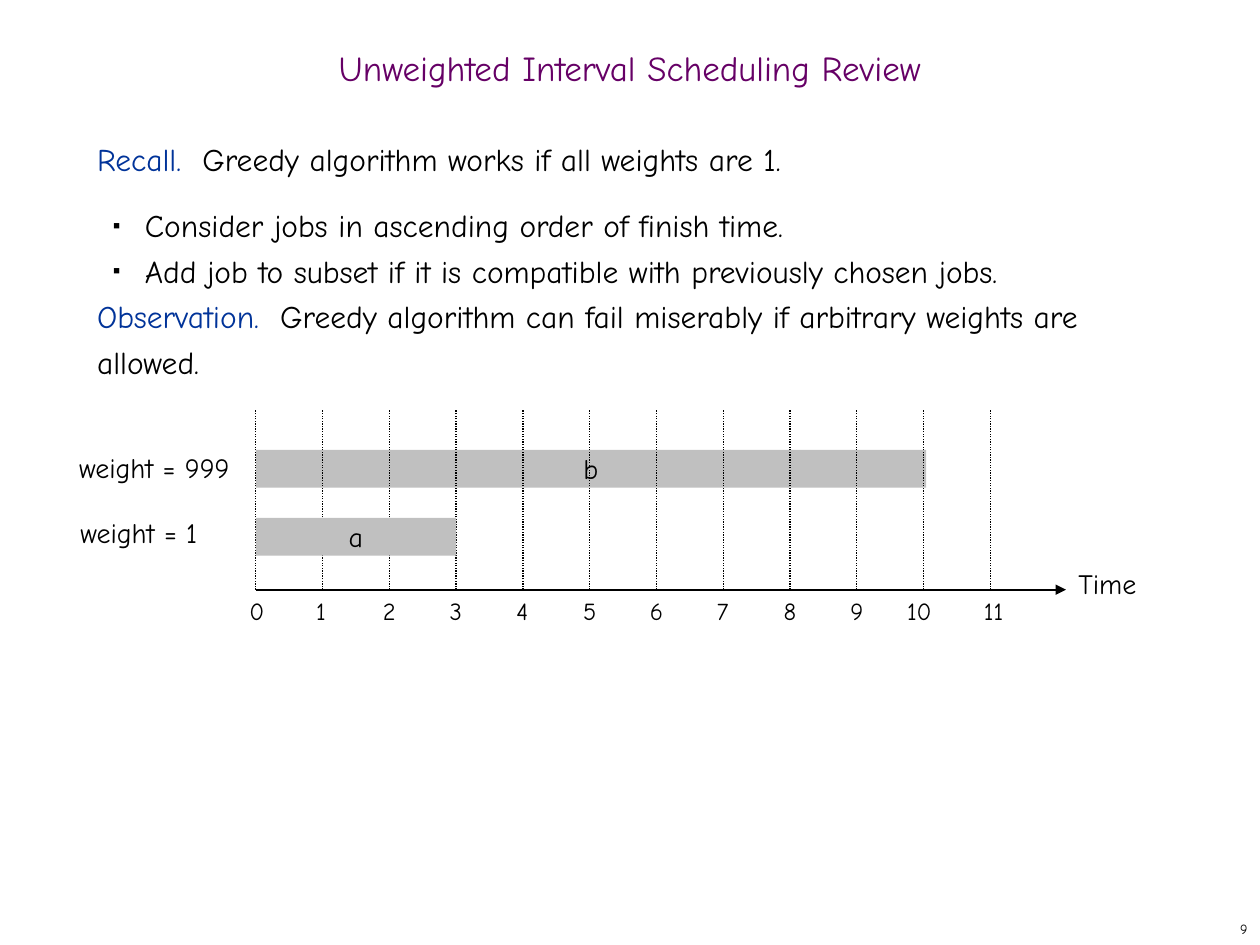
from dataclasses import dataclass

from lxml import etree
from pptx import Presentation
from pptx.dml.color import RGBColor
from pptx.enum.dml import MSO_LINE
from pptx.enum.shapes import MSO_CONNECTOR, MSO_SHAPE
from pptx.enum.text import MSO_ANCHOR, MSO_AUTO_SIZE, PP_ALIGN
from pptx.oxml.ns import qn
from pptx.util import Inches, Pt

STRAIGHT = MSO_CONNECTOR.STRAIGHT
RECTANGLE = MSO_SHAPE.RECTANGLE
DOTTED = MSO_LINE.ROUND_DOT
MIDDLE = MSO_ANCHOR.MIDDLE
FIXED = MSO_AUTO_SIZE.NONE
CENTER, LEFT, RIGHT = PP_ALIGN.CENTER, PP_ALIGN.LEFT, PP_ALIGN.RIGHT


@dataclass(frozen=True)
class Theme:
    font: str = "Comic Neue"
    ink: RGBColor = RGBColor(0x00, 0x00, 0x00)
    title: RGBColor = RGBColor(0x66, 0x00, 0x66)
    lead: RGBColor = RGBColor(0x00, 0x33, 0x99)
    bar: RGBColor = RGBColor(0xC0, 0xC0, 0xC0)
    title_size: Pt = Pt(20)
    body_size: Pt = Pt(18)
    label_size: Pt = Pt(16)
    tick_size: Pt = Pt(14)
    number_size: Pt = Pt(8)


THEME = Theme()


def write(box, text, size, color=THEME.ink, align=LEFT, wrap=True):
    frame = box.text_frame
    frame.text = text
    frame.word_wrap = wrap
    para = frame.paragraphs[0]
    para.alignment = align
    font = para.runs[0].font
    font.name, font.size = THEME.font, size
    font.color.rgb = color


def draw_line(shapes, start, end, width):
    line = shapes.add_connector(STRAIGHT, *[Inches(value) for value in start + end])
    line.line.color.rgb = THEME.ink
    line.line.width = Pt(width)
    etree.SubElement(line._element.spPr, qn("a:effectLst"))
    return line


deck = Presentation()
deck.slide_width, deck.slide_height = Inches(10), Inches(7.5)
page = deck.slides.add_slide(deck.slide_layouts[1])

number = page.shapes.add_textbox(Inches(7.92), Inches(7.25), Inches(2.08), Inches(0.25))
write(number, "9", THEME.number_size, align=RIGHT, wrap=False)
number.text_frame.vertical_anchor = MIDDLE

title = page.shapes.title
title.left, title.top, title.width, title.height = Inches(0), Inches(0.33), Inches(10), Inches(0.5)
write(title, "Unweighted Interval Scheduling Review", THEME.title_size, THEME.title, CENTER)
title.text_frame.vertical_anchor = MIDDLE
title.text_frame.auto_size = FIXED
title.text_frame.paragraphs[0].line_spacing = 0.7

body = page.placeholders[1]
body.left, body.top, body.width, body.height = Inches(0.67), Inches(1), Inches(8.58), Inches(5.92)
body.text_frame.auto_size = FIXED
statements = [
    ("Recall.  ", "Greedy algorithm works if all weights are 1.", 0),
    ("", "Consider jobs in ascending order of finish time.", 12),
    ("", "Add job to subset if it is compatible with previously chosen jobs.", 0),
    ("Observation.  ", "Greedy algorithm can fail miserably if arbitrary weights are allowed.", 0),
]
for index, (lead, text, space) in enumerate(statements):
    para = body.text_frame.paragraphs[0] if index == 0 else body.text_frame.add_paragraph()
    para.line_spacing = Pt(26)
    para.space_before = Pt(space)
    properties = para._p.get_or_add_pPr()
    if lead:
        properties.set("marL", "0")
        properties.set("indent", "0")
        etree.SubElement(properties, qn("a:buNone"))
    else:
        para.level = 1
        properties.set("marL", str(Inches(0.38)))
        properties.set("indent", str(Inches(-0.25)))
        bullet_color = etree.SubElement(properties, qn("a:buClr"))
        etree.SubElement(bullet_color, qn("a:srgbClr"), val=str(THEME.ink))
        etree.SubElement(properties, qn("a:buSzPct"), val="35000")
        etree.SubElement(properties, qn("a:buFont"), typeface="Arial")
        etree.SubElement(properties, qn("a:buChar"), char="■")
    for words, color in ((lead, THEME.lead), (text, THEME.ink)):
        if words:
            span = para.add_run()
            span.text = words
            span.font.name, span.font.size = THEME.font, THEME.body_size
            span.font.color.rgb = color

timeline = page.shapes.add_group_shape().shapes
origin, step, axis_y, grid_top = 2.03, 0.53, 4.68, 3.25

axis = draw_line(timeline, (origin, axis_y), (8.46, axis_y), 1.25)
etree.SubElement(axis.line._get_or_add_ln(), qn("a:tailEnd"), type="triangle")

labels = [
    ("Time", 8.46, 4.45, 0.83, True),
    ("weight = 999", 0.53, 3.53, 1.55, False),
    ("weight = 1", 0.54, 4.04, 1.25, False),
]
for text, left, top, width, wrap in labels:
    label = timeline.add_textbox(Inches(left), Inches(top), Inches(width), Inches(0.37))
    write(label, text, THEME.label_size, wrap=wrap)

tick_shifts = {10: -0.08}
for hour in range(12):
    left = origin - 0.15 + hour * step + tick_shifts.get(hour, 0)
    tick = timeline.add_textbox(Inches(left), Inches(axis_y), Inches(0.45), Inches(0.37))
    write(tick, str(hour), THEME.tick_size)

jobs = [("b", 3.57, 5.32), ("a", 4.11, 1.59)]
for name, top, width in jobs:
    if name == "a":
        for hour in range(12):
            x = origin + hour * step
            grid_line = draw_line(timeline, (x, axis_y), (x, grid_top), 0.75)
            grid_line.line.dash_style = DOTTED
    bar = timeline.add_shape(RECTANGLE, Inches(origin), Inches(top), Inches(width), Inches(0.3))
    bar.shadow.inherit = False
    bar.fill.solid()
    bar.fill.fore_color.rgb = THEME.bar
    bar.line.fill.background()
    write(bar, name, THEME.label_size, align=CENTER, wrap=False)
    bar.text_frame.vertical_anchor = MIDDLE

deck.save("out.pptx")
